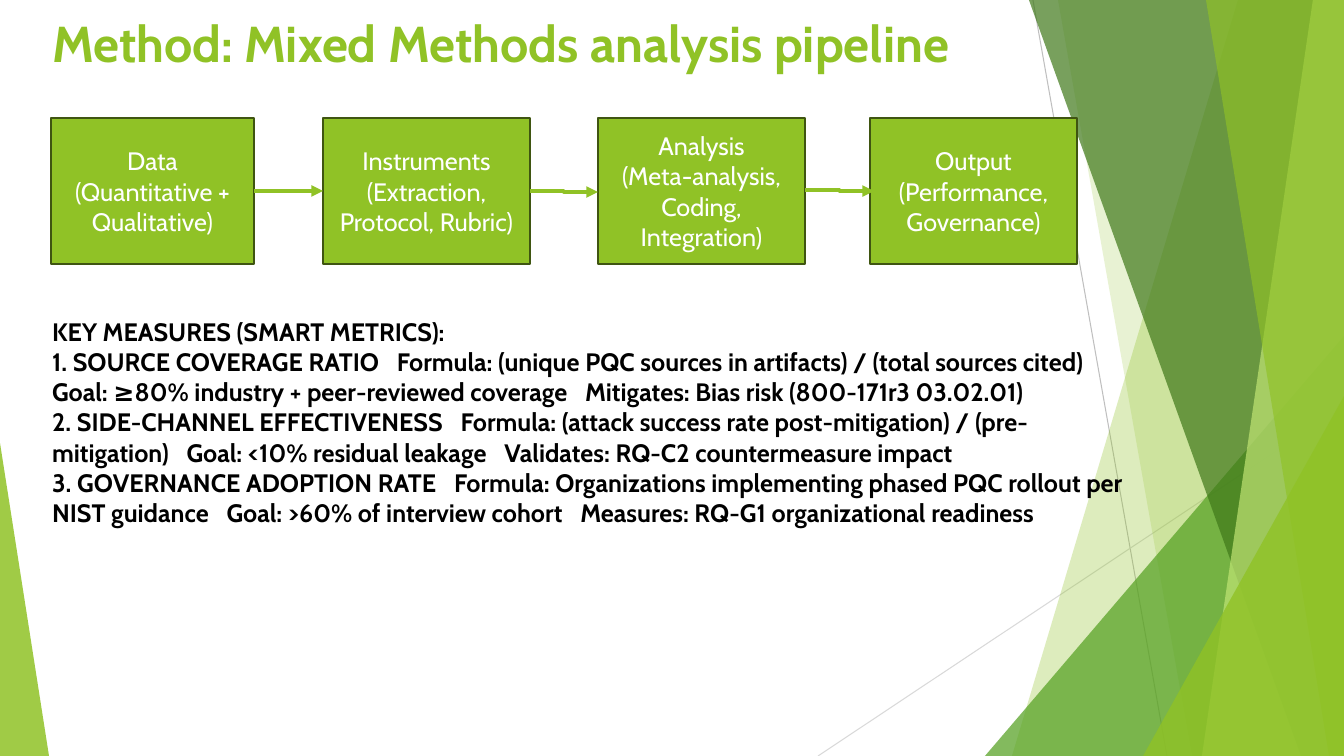
from dataclasses import dataclass

from pptx import Presentation
from pptx import util as u
from pptx.dml.color import RGBColor
from pptx.enum import shapes, text
from pptx.oxml import ns, xmlchemy

SCALE = 914400 / 100.8
WIDE, HIGH = 1344, 756
FACE = "Cabin"
HUES = {
    "lime": "90C226", "pale": "C0E474", "leaf": "54A021", "pine": "3F7819",
    "edge": "3F5511", "gray": "BFBFBF", "mist": "D9D9D9",
    "black": "000000", "white": "FFFFFF",
}


@dataclass
class Band:
    top: int
    low: int
    hue: str
    alpha: int


@dataclass
class Wedge:
    left: int
    top: int
    width: int
    peak: int
    hue: str
    alpha: int


@dataclass
class Step:
    left: int
    width: int
    label: str


@dataclass
class Link:
    start: int
    end: int
    y1: int
    y2: int


@dataclass
class Ray:
    x1: int
    y1: int
    x2: int
    y2: int
    hue: str


RAYS = [Ray(1033, 0, 1167, HIGH, "gray"), Ray(WIDE, 406, 818, HIGH, "mist")]
DECOR = [
    Band(1238, 1012, "lime", 30),
    Band(1058, 1192, "lime", 20),
    Wedge(985, 336, 359, 1, "leaf", 72),
    Band(1029, 1301, "pine", 70),
    Band(1313, 1202, "pale", 70),
    Band(1206, 1329, "lime", 65),
    Wedge(1143, 396, 201, 1, "lime", 80),
    Wedge(0, 443, 49, 0, "lime", 85),
]
STEP_TOP, STEP_HIGH = 118, 146
STEPS = [
    Step(51, 203, "Data\n(Quantitative +\nQualitative)"),
    Step(323, 207, "Instruments\n(Extraction,\nProtocol, Rubric)"),
    Step(598, 207, "Analysis\n(Meta-analysis,\nCoding, Integration)"),
    Step(870, 207, "Output\n(Performance,\nGovernance)"),
]
LINKS = [Link(254, 323, 191, 191), Link(530, 598, 191, 192), Link(805, 874, 190, 191)]
TITLE = "Method: Mixed Methods analysis pipeline"
METRICS = [
    ["KEY MEASURES (SMART METRICS):"],
    ["1. SOURCE COVERAGE RATIO",
     "Formula: (unique PQC sources in artifacts) / (total sources cited)",
     "Goal: ≥80% industry + peer-reviewed coverage",
     "Mitigates: Bias risk (800-171r3 03.02.01)"],
    ["2. SIDE-CHANNEL EFFECTIVENESS",
     "Formula: (attack success rate post-mitigation) / (pre-mitigation)",
     "Goal: <10% residual leakage",
     "Validates: RQ-C2 countermeasure impact"],
    ["3. GOVERNANCE ADOPTION RATE",
     "Formula: Organizations implementing phased PQC rollout per NIST guidance",
     "Goal: >60% of interview cohort",
     "Measures: RQ-G1 organizational readiness"],
]


def px(size: int) -> int:
    return round(size * SCALE)


def tint(name: str) -> RGBColor:
    return RGBColor.from_string(HUES[name])


def style(para, size: int, hue: str, bold: bool = False) -> None:
    for run in para.runs:
        run.font.name = FACE
        run.font.size = u.Pt(size)
        run.font.bold = bold
        run.font.color.rgb = tint(hue)


def glaze(shape, hue: str, alpha: int) -> None:
    shape.shadow.inherit = False
    shape.fill.solid()
    shape.fill.fore_color.rgb = tint(hue)
    shape.line.fill.background()
    color = shape.element.spPr.find(ns.qn("a:solidFill")).find(ns.qn("a:srgbClr"))
    node = xmlchemy.OxmlElement("a:alpha")
    node.set("val", str(alpha * 1000))
    color.append(node)


def draw_band(slide, band: Band) -> None:
    pen = slide.shapes.build_freeform(band.top, 0, scale=SCALE)
    pen.add_line_segments([(WIDE, 0), (WIDE, HIGH), (band.low, HIGH)], close=True)
    glaze(pen.convert_to_shape(), band.hue, band.alpha)


def draw_wedge(slide, wedge: Wedge) -> None:
    shape = slide.shapes.add_shape(
        shapes.MSO_SHAPE.ISOSCELES_TRIANGLE, px(wedge.left), px(wedge.top),
        px(wedge.width), px(HIGH - wedge.top))
    shape.adjustments[0] = wedge.peak
    glaze(shape, wedge.hue, wedge.alpha)


def draw_line(slide, kind, ends: tuple, hue: str, width: float):
    line = slide.shapes.add_connector(kind, *map(px, ends))
    line.line.color.rgb = tint(hue)
    line.line.width = u.Pt(width)
    line.element.spPr.append(xmlchemy.OxmlElement("a:effectLst"))
    return line


def draw_step(slide, step: Step):
    box = slide.shapes.add_shape(
        shapes.MSO_SHAPE.RECTANGLE, px(step.left), px(STEP_TOP),
        px(step.width), px(STEP_HIGH))
    box.shadow.inherit = False
    box.fill.solid()
    box.fill.fore_color.rgb = tint("lime")
    box.line.color.rgb = tint("edge")
    box.line.width = u.Pt(1.5)
    frame = box.text_frame
    frame.word_wrap = True
    frame.vertical_anchor = text.MSO_ANCHOR.MIDDLE
    para = frame.paragraphs[0]
    para.text = step.label
    para.alignment = text.PP_ALIGN.CENTER
    style(para, 18, "white")
    return box


def draw_link(slide, link: Link, prev, after) -> None:
    flat = link.y1 == link.y2
    kind = shapes.MSO_CONNECTOR.STRAIGHT if flat else shapes.MSO_CONNECTOR.ELBOW
    line = draw_line(slide, kind, (link.start, link.y1, link.end, link.y2), "lime", 2.75)
    if flat:
        line.begin_connect(prev, 3)
        line.end_connect(after, 1)
    tip = xmlchemy.OxmlElement("a:tailEnd")
    tip.set("type", "triangle")
    line.element.spPr.find(ns.qn("a:ln")).append(tip)


def place(holder, left: int, top: int, width: int, height: int):
    holder.left, holder.top = px(left), px(top)
    holder.width, holder.height = px(width), px(height)
    holder.element.getparent().append(holder.element)
    frame = holder.text_frame
    frame.word_wrap = True
    frame.auto_size = text.MSO_AUTO_SIZE.NONE
    frame.vertical_anchor = text.MSO_ANCHOR.TOP
    return frame


def fill_title(slide) -> None:
    para = place(slide.shapes.title, 42, 14, 1034, 81).paragraphs[0]
    para.text = TITLE
    para.alignment = text.PP_ALIGN.LEFT
    para.line_spacing = 0.9
    style(para, 36, "lime", True)


def fill_body(slide) -> None:
    frame = place(slide.placeholders[1], 42, 311, 1095, 285)
    for row, fields in enumerate(METRICS):
        para = frame.add_paragraph() if row else frame.paragraphs[0]
        props = para._p.get_or_add_pPr()
        props.set("marL", "0")
        props.set("indent", "0")
        props.append(xmlchemy.OxmlElement("a:buNone"))
        para.space_before = u.Pt(0)
        para.text = fields[0]
        for field in fields[1:]:
            gap = para.add_run()
            gap.text = " "
            gap._r.get_or_add_rPr().set("spc", "860")
            para.add_run().text = field
        style(para, 18, "black", True)


def main() -> None:
    deck = Presentation()
    deck.slide_width, deck.slide_height = px(WIDE), px(HIGH)
    slide = deck.slides.add_slide(deck.slide_layouts[1])
    for ray in RAYS:
        ends = (ray.x1, ray.y1, ray.x2, ray.y2)
        draw_line(slide, shapes.MSO_CONNECTOR.STRAIGHT, ends, ray.hue, 0.75)
    for item in DECOR:
        draw = draw_band if isinstance(item, Band) else draw_wedge
        draw(slide, item)
    fill_title(slide)
    fill_body(slide)
    boxes = [draw_step(slide, step) for step in STEPS]
    for link, prev, after in zip(LINKS, boxes, boxes[1:]):
        draw_link(slide, link, prev, after)
    deck.save("out.pptx")


if __name__ == "__main__":
    main()
